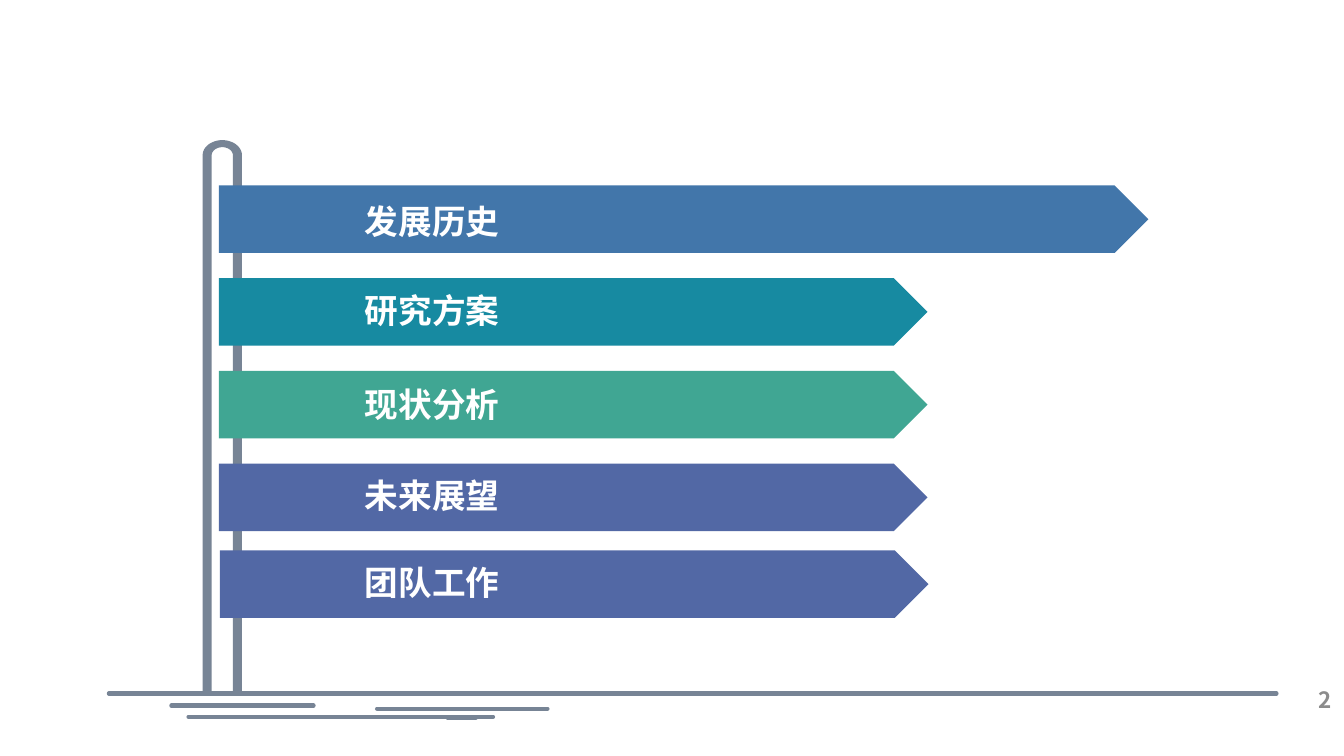
from math import cos, pi, sin

from lxml.etree import SubElement
from pptx import Presentation
from pptx.dml.color import RGBColor
from pptx.enum.shapes import MSO_CONNECTOR, MSO_SHAPE
from pptx.enum.text import MSO_ANCHOR as ANCHOR, MSO_AUTO_SIZE as AUTO, PP_ALIGN as ALIGN
from pptx.oxml.ns import qn
from pptx.util import Pt

PX = 9144  # EMU in one px, 100 px to the inch
SLATE = RGBColor(0x77, 0x84, 0x95)
BLUE = RGBColor(0x42, 0x76, 0xAA)
TEAL = RGBColor(0x17, 0x8A, 0xA1)
GREEN = RGBColor(0x40, 0xA6, 0x93)
INDIGO = RGBColor(0x52, 0x68, 0xA5)
WHITE = RGBColor(0xFF, 0xFF, 0xFF)
GREY = RGBColor(0x8C, 0x8C, 0x8C)

# label, colour, left, top, width, label top
SIGNS = [
    ("发展历史", BLUE, 217, 184, 922, 194),
    ("研究方案", TEAL, 217, 276, 703, 283),
    ("现状分析", GREEN, 217, 368, 703, 376),
    ("未来展望", INDIGO, 217, 460, 703, 466),
    ("团队工作", INDIGO, 218, 546, 703, 553),
]
SIGN_HEIGHT = 67
LABEL_LEFT = 352

# left, right, y
GROUND_LINES = [
    (136, 1266, 688), (108, 147, 688),
    (504, 538, 703), (374, 543, 703),
    (214, 489, 711), (187, 221, 711),
    (170, 311, 700), (444, 472, 712),
]


def arch(cx, cy, rx, ry, steps=24):
    """Points of a half ellipse, from its left end over the top to its right end."""
    angles = [pi * i / steps for i in range(steps + 1)]
    return [(cx - rx * cos(a), cy - ry * sin(a)) for a in angles]


class Canvas:
    """Draws on one slide, with lengths in px."""

    font = "Noto Sans CJK SC"

    def __init__(self, slide):
        self.shapes = slide.shapes

    def paint(self, sp, color):
        sp.shadow.inherit = False
        sp.fill.solid()
        sp.fill.fore_color.rgb = color
        sp.line.fill.background()

    def outline(self, points, color):
        (x, y), *rest = [(round(px * PX), round(py * PX)) for px, py in points]
        builder = self.shapes.build_freeform(x, y)
        builder.add_line_segments(rest, close=True)
        self.paint(builder.convert_to_shape(), color)

    def sign(self, x, y, w, h, color):
        sp = self.shapes.add_shape(MSO_SHAPE.PENTAGON, x * PX, y * PX, w * PX, h * PX)
        self.paint(sp, color)

    def line(self, x1, x2, y, color):
        """Horizontal line with round ends."""
        cxn = self.shapes.add_connector(MSO_CONNECTOR.STRAIGHT, x1 * PX, y * PX, x2 * PX, y * PX)
        cxn.line.color.rgb = color
        cxn.line.width = Pt(3)
        cxn.line._get_or_add_ln().set("cap", "rnd")
        SubElement(cxn._element.spPr, qn("a:effectLst"))

    def text(self, text, x, y, w, h, size, color, align=ALIGN.LEFT,
             anchor=ANCHOR.TOP, auto_size=AUTO.NONE):
        tf = self.shapes.add_textbox(x * PX, y * PX, w * PX, h * PX).text_frame
        tf.word_wrap = True
        tf.auto_size = auto_size
        tf.vertical_anchor = anchor
        p = tf.paragraphs[0]
        p.text = text
        p.alignment = align
        p.font.name = self.font
        p.font.size = Pt(size)
        p.font.bold = True
        p.font.color.rgb = color


def main():
    prs = Presentation()
    prs.slide_width, prs.slide_height = 1333 * PX, 750 * PX
    canvas = Canvas(prs.slides.add_slide(prs.slide_layouts[6]))

    outer = arch(220.5, 154, 19.5, 15)
    inner = arch(220.5, 154, 10.5, 8)
    canvas.outline([(201, 688), *outer, (240, 688), (231, 688), *inner[::-1], (210, 688)], SLATE)

    for x1, x2, y in GROUND_LINES:
        canvas.line(x1, x2, y, SLATE)

    for label, color, x, y, w, label_top in SIGNS:
        canvas.sign(x, y, w, SIGN_HEIGHT, color)
        canvas.text(label, LABEL_LEFT, label_top, x + w - LABEL_LEFT, 50, 24, WHITE,
                    auto_size=AUTO.SHAPE_TO_FIT_TEXT)

    canvas.text("2", 1020, 674, 311, 40, 16, GREY, ALIGN.RIGHT, ANCHOR.MIDDLE)
    prs.save("out.pptx")


if __name__ == "__main__":
    main()
